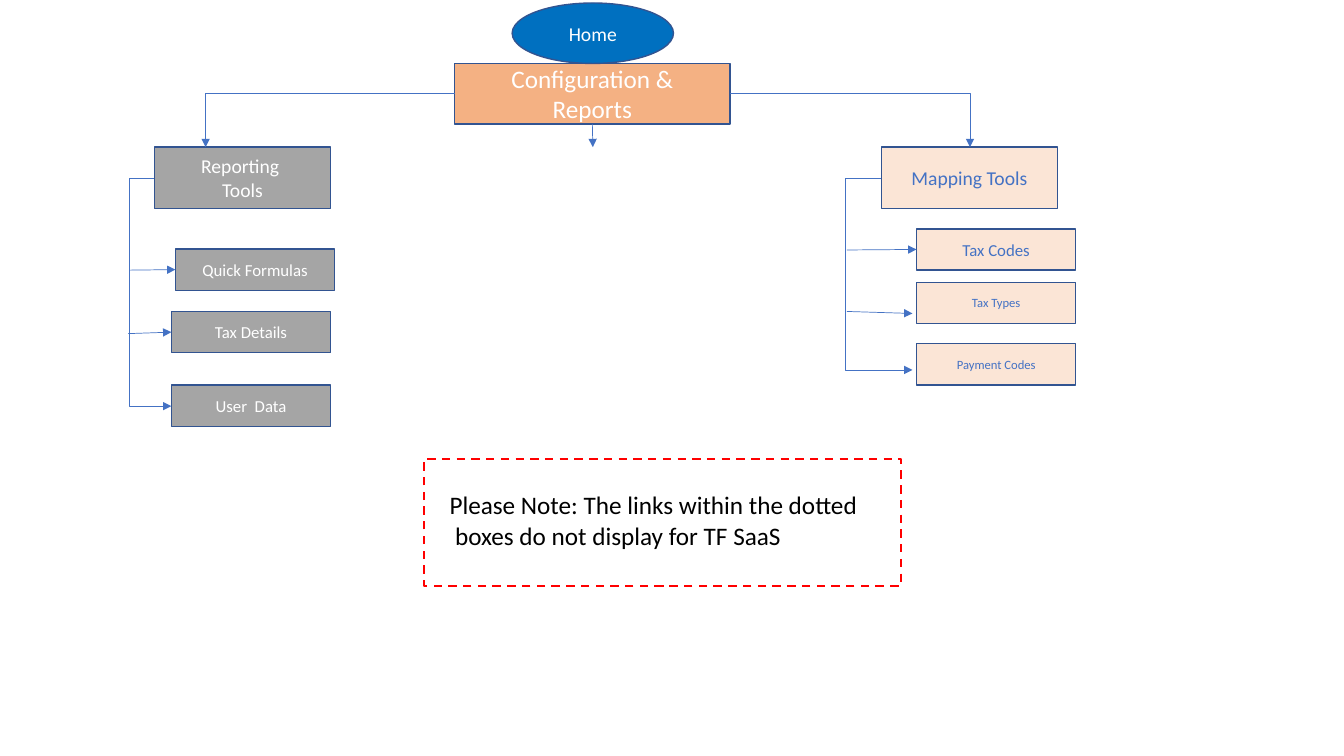
from lxml import etree
from pptx import Presentation
from pptx.dml.color import RGBColor
from pptx.enum.dml import MSO_LINE
from pptx.enum.shapes import MSO_CONNECTOR as Conn, MSO_SHAPE as Shape
from pptx.enum.text import MSO_ANCHOR as Anchor, PP_ALIGN as Align
from pptx.oxml.ns import qn
from pptx.util import Inches, Pt

COLORS = {
    "home": "0070C0", "config": "F4B183", "reporting": "A5A5A5", "mapping": "FBE5D6",
    "border": "325491", "link": "4472C4", "warning": "FF0000",
    "light": "FFFFFF", "dark": "000000",
}
CELL = 0.1  # inches per grid column and row
BOX = (17.5, 6.1)
ITEM = (15.8, 4.1)


def rgb(name):
    return RGBColor.from_string(COLORS[name])


def grid(*cells):
    return [Inches(n * CELL) for n in cells]


class SiteMap:
    """Draws on one slide; places and sizes are in grid columns and rows."""

    font = "Calibri"

    def __init__(self, s):
        self.shapes = s.shapes

    def style_text(self, tf, text, size, color, align):
        tf.word_wrap = True
        tf.text = text
        for p in tf.paragraphs:
            p.alignment = align
            for r in p.runs:
                r.font.name, r.font.size = self.font, Pt(size)
                r.font.color.rgb = rgb(color)

    def box(self, text, at, size, fill, pt=12, color="light", kind=Shape.RECTANGLE):
        sp = self.shapes.add_shape(kind, *grid(*at, *size))
        sp.shadow.inherit = False
        sp.fill.solid()
        sp.fill.fore_color.rgb = rgb(fill)
        sp.line.color.rgb = rgb("border")
        sp.line.width = Pt(1)
        self.style_text(sp.text_frame, text, pt, color, Align.CENTER)
        sp.text_frame.vertical_anchor = Anchor.MIDDLE
        return sp

    def dashed_frame(self, at, size):
        sp = self.shapes.add_shape(Shape.RECTANGLE, *grid(*at, *size))
        sp.shadow.inherit = False
        sp.fill.background()
        sp.line.color.rgb = rgb("warning")
        sp.line.width = Pt(1.5)
        sp.line.dash_style = MSO_LINE.DASH

    def note(self, text, at, size):
        tb = self.shapes.add_textbox(*grid(*at, *size))
        self.style_text(tb.text_frame, text, 18, "dark", Align.LEFT)

    def arrow(self, start, end, kind=Conn.STRAIGHT):
        cx = self.shapes.add_connector(kind, *grid(*start, *end))
        cx.line.color.rgb = rgb("link")
        cx.line.width = Pt(0.5)
        ln = cx._element.spPr.find(qn("a:ln"))
        etree.SubElement(ln, qn("a:tailEnd"), type="triangle")
        etree.SubElement(cx._element.spPr, qn("a:effectLst"))
        return cx

    def corner(self, start, end):
        """Arrow that runs across, then down."""
        geom = self.arrow(start, end, Conn.ELBOW)._element.spPr.find(qn("a:prstGeom"))
        geom.set("prst", "bentConnector2")

    def bracket(self, start, end, spine):
        """Arrow that runs left to the spine column, down, then right."""
        geom = self.arrow(start, end, Conn.ELBOW)._element.spPr.find(qn("a:prstGeom"))
        bend = round((spine - start[0]) / (end[0] - start[0]) * 100000)
        guides = geom.find(qn("a:avLst"))
        etree.SubElement(guides, qn("a:gd"), name="adj1", fmla=f"val {bend}")


def main():
    prs = Presentation()
    prs.slide_width, prs.slide_height = Inches(13.33), Inches(7.5)
    site = SiteMap(prs.slides.add_slide(prs.slide_layouts[6]))

    config = site.box("Configuration &\vReports", (45.1, 6.3), (27.3, 6), "config", 18)
    site.box("Home", (50.8, 0.3), (16, 6), "home", 14, kind=Shape.OVAL)
    site.box("Reporting \vTools", (15.3, 14.6), BOX, "reporting", 14)
    site.box("Mapping Tools", (87.4, 14.6), BOX, "mapping", 14, "link")

    quick, details, _ = [
        site.box(text, at, ITEM, "reporting")
        for text, at in (("Quick Formulas", (17.4, 24.7)),
                         ("Tax Details", (17, 30.9)),
                         ("User  Data", (17, 38.2)))
    ]
    codes, _, _ = [
        site.box(text, (90.9, top), ITEM, "mapping", pt, "link")
        for text, top, pt in (("Tax Codes", 22.7, 12),
                              ("Tax Types", 28, 9),
                              ("Payment Codes", 34.1, 9))
    ]

    site.corner((45.1, 9.3), (20.4, 14.6))
    site.corner((72.4, 9.3), (96.2, 14.6))
    site.arrow((58.8, 12.3), (58.8, 14.6)).begin_connect(config, 2)

    site.bracket((15.3, 17.7), (17, 40.3), spine=12.8)
    site.bracket((87.4, 17.7), (90.5, 36.7), spine=83.8)
    site.arrow((12.8, 26.8), (17.4, 26.8)).end_connect(quick, 1)
    site.arrow((12.7, 33.1), (17, 33)).end_connect(details, 1)
    site.arrow((84, 24.8), (90.9, 24.7)).end_connect(codes, 1)
    site.arrow((84, 30.9), (90.5, 31.1))

    site.dashed_frame((42.1, 45.5), (47.3, 12.6))
    site.note("Please Note: The links within the dotted\n boxes do not display for TF SaaS",
              (43.6, 48.1), (55.9, 7.1))
    prs.save("out.pptx")


if __name__ == "__main__":
    main()
